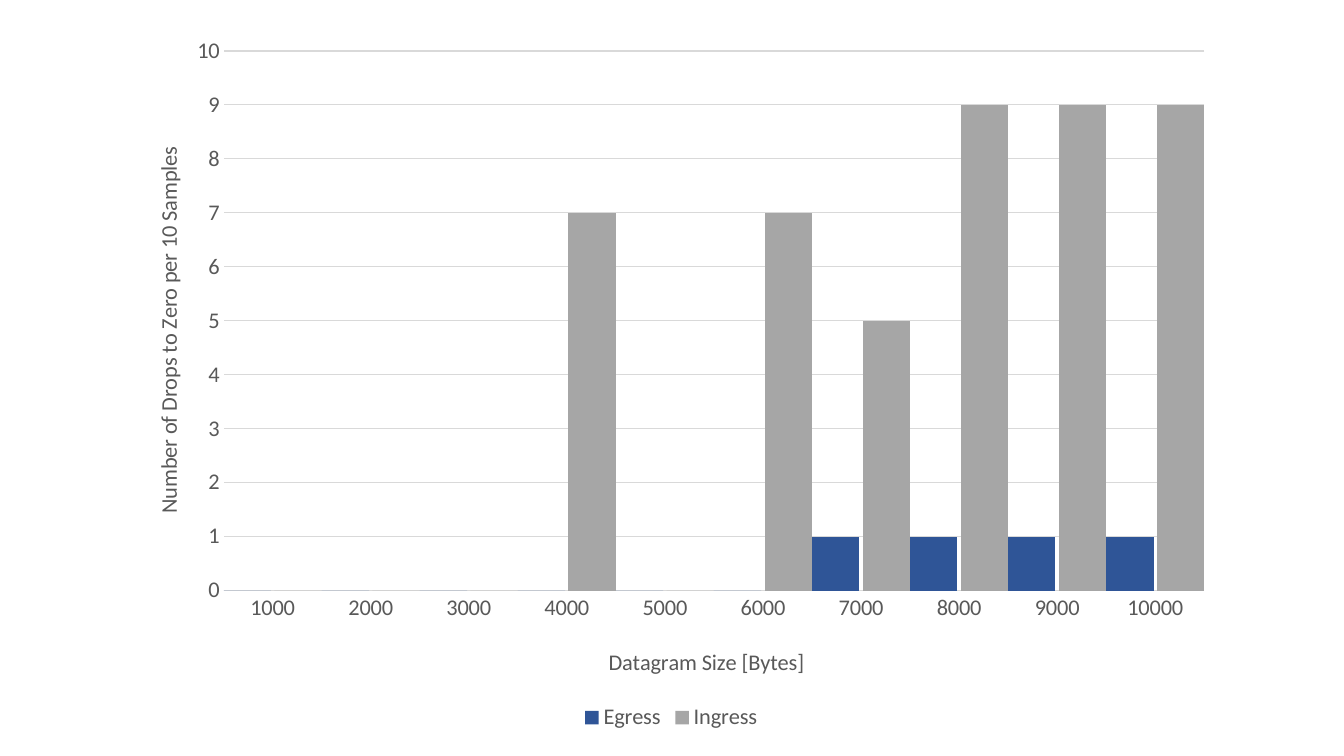
from dataclasses import dataclass

import pptx
import pptx.chart.data
import pptx.dml.color
import pptx.enum.chart
import pptx.oxml
import pptx.oxml.ns
import pptx.util


@dataclass(frozen=True)
class Theme:
    font: str = "Calibri"
    label_size: int = 16
    line_width: float = 0.75
    text: str = "595959"
    line: str = "D9D9D9"
    egress: str = "2F5597"
    ingress: str = "A6A6A6"


@dataclass(frozen=True)
class Direction:
    name: str
    drops: tuple[int, ...]
    color: str


THEME = Theme()
DATAGRAM_SIZES = [str(size) for size in range(1000, 10001, 1000)]
DIRECTIONS = (
    Direction("Egress", (0, 0, 0, 0, 0, 0, 1, 1, 1, 1), THEME.egress),
    Direction("Ingress", (0, 0, 0, 7, 0, 7, 5, 9, 9, 9), THEME.ingress),
)


def rgb(color: str) -> pptx.dml.color.RGBColor:
    return pptx.dml.color.RGBColor.from_string(color)


def style_font(font, *, size: float = THEME.label_size, color: str = THEME.text, bold: bool = False) -> None:
    font.name = THEME.font
    font.size = pptx.util.Pt(size)
    font.bold = bold
    font.color.rgb = rgb(color)


def write_text(frame, text: str, **text_format) -> None:
    frame.text = text
    style_font(frame.paragraphs[0].runs[0].font, **text_format)


def style_line(line) -> None:
    line.color.rgb = rgb(THEME.line)
    line.width = pptx.util.Pt(THEME.line_width)


def place(element, *, target: str = "", **fractions: float) -> None:
    layout = element.find(pptx.oxml.ns.qn("c:layout"))
    if layout is None:
        layout = pptx.oxml.parse_xml(f"<c:layout {pptx.oxml.ns.nsdecls('c')}/>")
        element.insert(0, layout)
    settings = {"layoutTarget": target} if target else {}
    settings |= {"xMode": "edge", "yMode": "edge", **fractions}
    values = "".join(f'<c:{key} val="{value}"/>' for key, value in settings.items())
    layout.append(pptx.oxml.parse_xml(
        f"<c:manualLayout {pptx.oxml.ns.nsdecls('c')}>{values}</c:manualLayout>"))


def style_axis(axis, title: str, *, x: float, y: float) -> None:
    axis.has_title = True
    write_text(axis.axis_title.text_frame, title)
    place(axis.axis_title._element, x=x, y=y)
    style_font(axis.tick_labels.font)
    axis.major_tick_mark = pptx.enum.chart.XL_TICK_MARK.NONE
    axis.minor_tick_mark = pptx.enum.chart.XL_TICK_MARK.NONE


def add_drops_chart(slide) -> None:
    drops_data = pptx.chart.data.CategoryChartData()
    drops_data.categories = DATAGRAM_SIZES
    for direction in DIRECTIONS:
        drops_data.add_series(direction.name, direction.drops)
    chart = slide.shapes.add_chart(
        pptx.enum.chart.XL_CHART_TYPE.COLUMN_CLUSTERED,
        pptx.util.Cm(2.92), pptx.util.Cm(0.53), pptx.util.Cm(27.99), pptx.util.Cm(18.01),
        drops_data,
    ).chart
    chart.has_title = False
    style_font(chart.font)
    place(chart._chartSpace.chart.plotArea, target="inner", x=0.097, y=0.042, w=0.883, h=0.755)

    columns = chart.plots[0]
    columns.gap_width = 0
    columns.overlap = -7
    columns.vary_by_categories = False
    for series, direction in zip(columns.series, DIRECTIONS):
        series.format.fill.solid()
        series.format.fill.fore_color.rgb = rgb(direction.color)

    sizes = chart.category_axis
    style_axis(sizes, "Datagram Size [Bytes]", x=0.44, y=0.87)
    style_line(sizes.format.line)

    drops = chart.value_axis
    style_axis(drops, "Number of Drops to Zero per 10 Samples", x=0.03, y=0.17)
    drops.minimum_scale = 0
    drops.maximum_scale = 10
    drops.major_unit = 1
    drops.format.line.fill.background()
    style_line(drops.major_gridlines.format.line)

    chart.has_legend = True
    chart.legend.position = pptx.enum.chart.XL_LEGEND_POSITION.BOTTOM
    chart.legend.include_in_layout = False
    style_font(chart.legend.font)


def main() -> None:
    deck = pptx.Presentation()
    deck.slide_width = pptx.util.Cm(33.87)
    deck.slide_height = pptx.util.Cm(19.05)
    add_drops_chart(deck.slides.add_slide(deck.slide_layouts[6]))
    deck.save("out.pptx")


if __name__ == "__main__":
    main()
